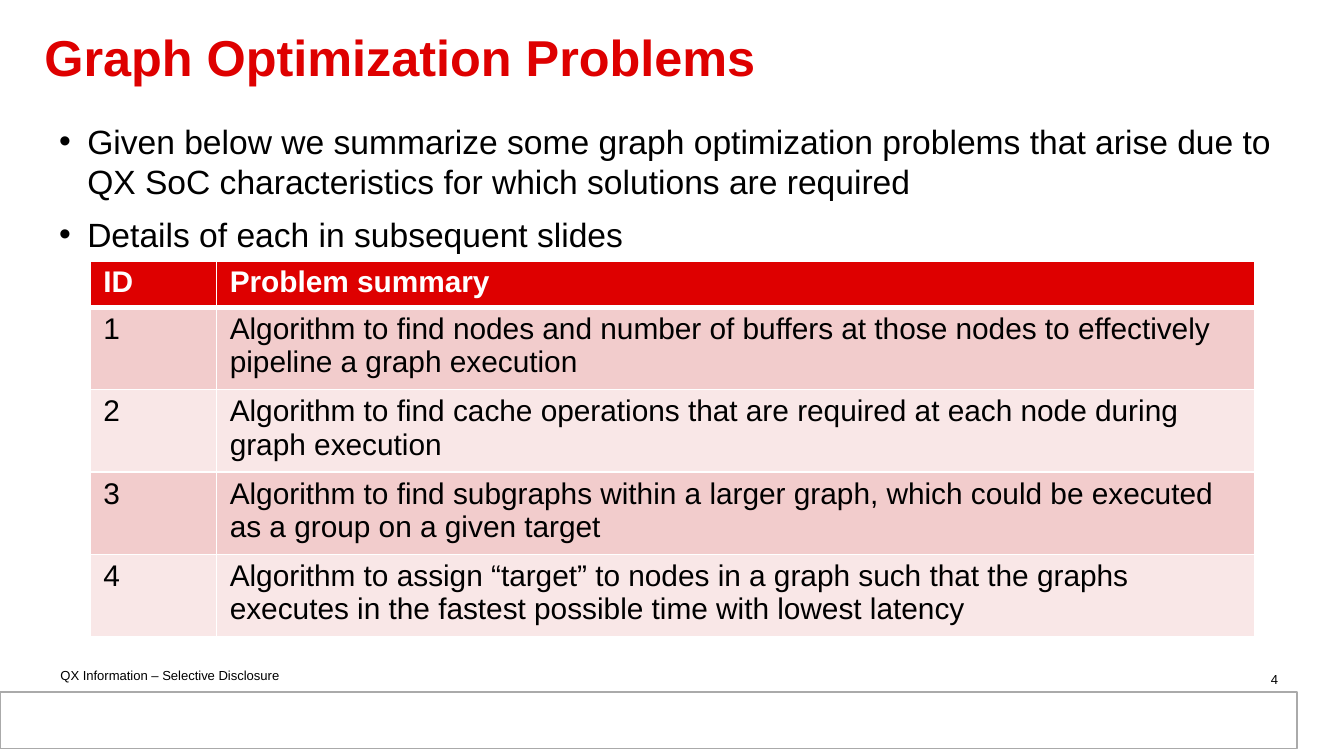
import pptx
import pptx.util
import pptx.dml.color
import pptx.enum.text
import pptx.enum.shapes
import pptx.oxml.ns
import lxml.etree

Inches, Pt = pptx.util.Inches, pptx.util.Pt
ALIGN = pptx.enum.text.PP_ALIGN
ANCHOR = pptx.enum.text.MSO_ANCHOR
qn = pptx.oxml.ns.qn

TITLE = "Graph Optimization Problems"
BULLETS = [
    "Given below we summarize some graph optimization problems that arise due to "
    "QX SoC characteristics for which solutions are required",
    "Details of each in subsequent slides",
]
HEADER = ("ID", "Problem summary")
PROBLEMS = [
    "Algorithm to find nodes and number of buffers at those nodes to effectively "
    "pipeline a graph execution",
    "Algorithm to find cache operations that are required at each node during "
    "graph execution",
    "Algorithm to find subgraphs within a larger graph, which could be executed "
    "as a group on a given target",
    "Algorithm to assign “target” to nodes in a graph such that the graphs "
    "executes in the fastest possible time with lowest latency",
]
FOOTER = "QX Information – Selective Disclosure"
PAGE = "4"
RED, BLACK, WHITE, GREY = "DE0000", "000000", "FFFFFF", "AAAAAA"
BANDS = ("F2CCCC", "F9E7E7")
COLUMNS = (0.94, 7.73)
HEAD_H, ROW_H = 0.3, 0.45


def rgb(value):
    return pptx.dml.color.RGBColor.from_string(value)


def add_run(p, text, size, color=BLACK, bold=False):
    r = p.add_run()
    r.text = text
    r.font.name = "Arial"
    r.font.size = Pt(size)
    r.font.bold = bold
    r.font.color.rgb = rgb(color)


def add_box(s, x, y, w, h, anchor=ANCHOR.TOP):
    tf = s.shapes.add_textbox(Inches(x), Inches(y), Inches(w), Inches(h)).text_frame
    tf.word_wrap = True
    tf.vertical_anchor = anchor
    tf.margin_left = tf.margin_right = Inches(0.08)
    tf.margin_top = tf.margin_bottom = Inches(0.04)
    return tf


def add_bar(s, x, y, w, h, line=None):
    sp = s.shapes.add_shape(pptx.enum.shapes.MSO_SHAPE.RECTANGLE,
                            Inches(x), Inches(y), Inches(w), Inches(h))
    sp.shadow.inherit = False
    sp.fill.solid()
    sp.fill.fore_color.rgb = rgb(WHITE)
    if line:
        sp.line.color.rgb = rgb(line)
        sp.line.width = Pt(0.75)
    else:
        sp.line.fill.background()


def set_bullet(p):
    pPr = p._p.get_or_add_pPr()
    pPr.set("marL", str(Inches(0.21)))
    pPr.set("indent", str(-Inches(0.21)))
    lxml.etree.SubElement(pPr, qn("a:buFont")).set("typeface", "Arial")
    lxml.etree.SubElement(pPr, qn("a:buChar")).set("char", "•")


def make_border(side, width):
    ln = lxml.etree.Element(qn("a:" + side), w=str(Pt(width)))
    fill = lxml.etree.SubElement(ln, qn("a:solidFill"))
    lxml.etree.SubElement(fill, qn("a:srgbClr")).set("val", WHITE)
    return ln


def fill_cell(cell, text, fill, color, header, after_header):
    cell.margin_left = cell.margin_right = Inches(0.1)
    cell.margin_top = cell.margin_bottom = Inches(0.04)
    cell.fill.solid()
    cell.fill.fore_color.rgb = rgb(fill)
    add_run(cell.text_frame.paragraphs[0], text, 16, color, header)
    tcPr = cell._tc.get_or_add_tcPr()
    widths = {"lnL": 1, "lnR": 1, "lnT": 3 if after_header else 1, "lnB": 3 if header else 1}
    for i, (side, width) in enumerate(widths.items()):
        tcPr.insert(i, make_border(side, width))


def add_problem_table(s):
    rows = [HEADER] + [(str(i), text) for i, text in enumerate(PROBLEMS, 1)]
    heights = [HEAD_H] + [ROW_H] * len(PROBLEMS)
    table = s.shapes.add_table(len(rows), len(COLUMNS), Inches(0.67), Inches(1.94),
                               Inches(sum(COLUMNS)), Inches(sum(heights))).table
    for col, width in zip(table.columns, COLUMNS):
        col.width = Inches(width)
    for i, (row, height) in enumerate(zip(rows, heights)):
        table.rows[i].height = Inches(height)
        fill = BANDS[(i - 1) % 2] if i else RED
        for j, text in enumerate(row):
            fill_cell(table.cell(i, j), text, fill, BLACK if i else WHITE, i == 0, i == 1)


def main():
    prs = pptx.Presentation()
    prs.slide_width = Inches(10)
    prs.slide_height = prs.slide_width * 9 // 16
    s = prs.slides.add_slide(prs.slide_layouts[6])

    add_bar(s, 0.05, 5.19, 9.56, 0.38)
    p = add_box(s, 0.37, 4.93, 2.31, 0.2).paragraphs[0]
    add_run(p, FOOTER, 7)
    add_bar(s, 0, 5.15, 9.65, 0.42, GREY)

    p = add_box(s, 0.25, 0.12, 9.25, 0.67, ANCHOR.MIDDLE).paragraphs[0]
    p.line_spacing = 0.85
    add_run(p, TITLE, 27, RED, True)

    tf = add_box(s, 0.36, 0.86, 9.26, 4.06)
    for i, text in enumerate(BULLETS):
        p = tf.add_paragraph() if i else tf.paragraphs[0]
        p.space_before = Pt(6.7)
        set_bullet(p)
        add_run(p, text, 18)

    p = add_box(s, 7.26, 4.96, 2.33, 0.17).paragraphs[0]
    p.alignment = ALIGN.RIGHT
    add_run(p, PAGE, 7)

    add_problem_table(s)
    prs.save("out.pptx")


if __name__ == "__main__":
    main()
